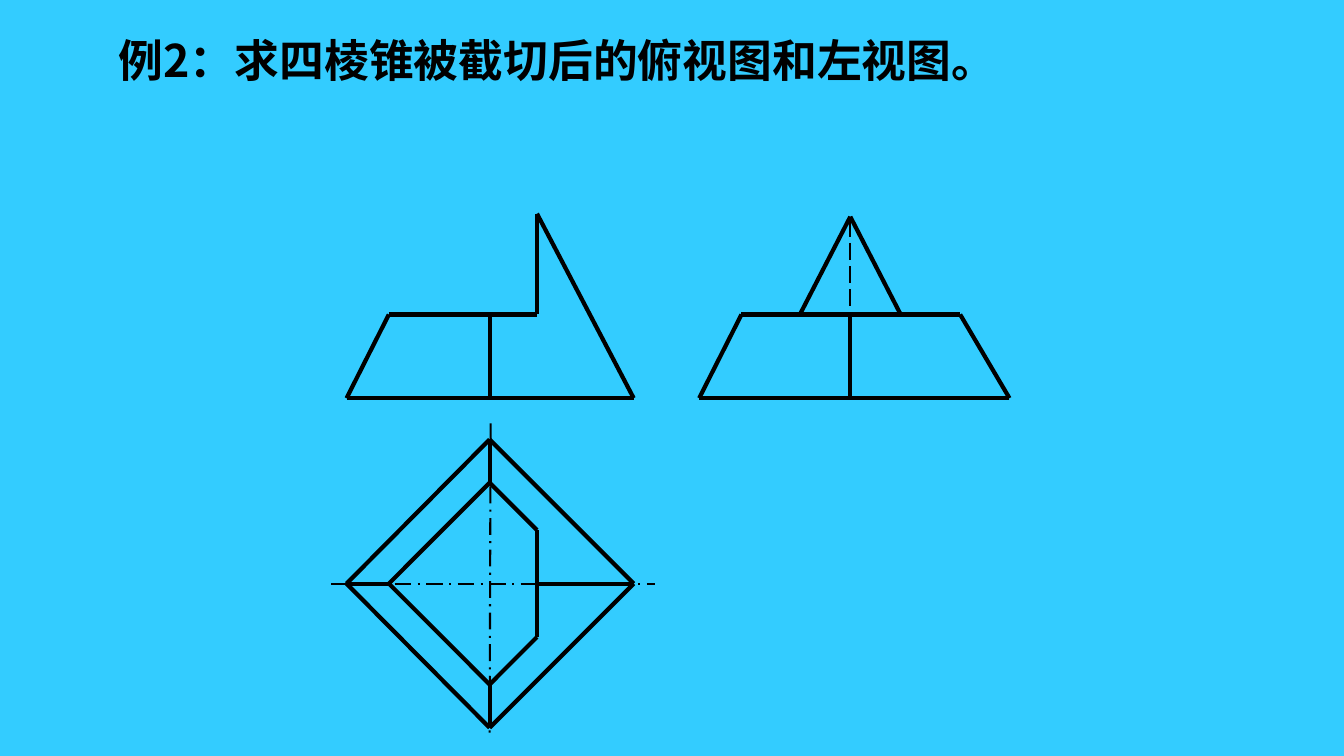
from itertools import pairwise
from lxml.etree import SubElement
from pptx import Presentation
from pptx.dml.color import RGBColor
from pptx.enum.dml import MSO_LINE
from pptx.enum.shapes import MSO_CONNECTOR
from pptx.oxml.ns import qn
from pptx.util import Inches, Pt

COLOURS = {"background": "33CCFF", "ink": "000000"}
FONT = "Noto Sans CJK SC"
TITLE_FORMAT = {"name": FONT, "size": Pt(32), "bold": True}
LINE_STYLES = {
    "edge": {"width": Pt(3)},
    "axis": {"width": Pt(1.5), "dash_style": MSO_LINE.LONG_DASH_DOT},
    "hidden": {"width": Pt(1.5), "dash_style": MSO_LINE.LONG_DASH},
}

# Levels shared by the views
BASE_Y, CUT_Y, APEX_Y = 3.95, 3.12, 2.12
LEFT_X, CUT_LEFT_X, AXIS_X, CUT_X, RIGHT_X = 3.44, 3.86, 4.86, 5.33, 6.29
PLAN_Y = 5.79
SIDE_LEFT_X, SIDE_AXIS_X, SIDE_RIGHT_X = 6.94, 8.44, 10.02
SIDE_APEX_Y = 2.15
OUTER, INNER = 1.43, 1.0  # half diagonals of the plan squares
NOTCH = INNER - (CUT_X - AXIS_X)

# Each entry is a line style and a chain of points
FRONT_VIEW = [
    ("edge", [(LEFT_X, BASE_Y), (CUT_LEFT_X, CUT_Y), (CUT_X, CUT_Y),
              (CUT_X, APEX_Y), (RIGHT_X, BASE_Y), (LEFT_X, BASE_Y)]),
    ("edge", [(AXIS_X, CUT_Y), (AXIS_X, BASE_Y)]),
]
SIDE_VIEW = [
    ("edge", [(SIDE_LEFT_X, BASE_Y), (7.36, CUT_Y), (9.53, CUT_Y),
              (SIDE_RIGHT_X, BASE_Y), (SIDE_LEFT_X, BASE_Y)]),
    ("edge", [(SIDE_AXIS_X - 0.5, CUT_Y), (SIDE_AXIS_X, SIDE_APEX_Y),
              (SIDE_AXIS_X + 0.5, CUT_Y)]),
    ("edge", [(SIDE_AXIS_X, CUT_Y), (SIDE_AXIS_X, BASE_Y)]),
    ("hidden", [(SIDE_AXIS_X, 2.18), (SIDE_AXIS_X, CUT_Y)]),
]
TOP_VIEW = [
    ("axis", [(3.29, PLAN_Y), (6.5, PLAN_Y)]),
    ("axis", [(AXIS_X + 0.01, 4.2), (AXIS_X, 7.32)]),
    # Base outline
    ("edge", [(LEFT_X, PLAN_Y), (AXIS_X, PLAN_Y - OUTER), (RIGHT_X, PLAN_Y),
              (AXIS_X, PLAN_Y + OUTER), (LEFT_X, PLAN_Y)]),
    # Cut face
    ("edge", [(CUT_LEFT_X, PLAN_Y), (AXIS_X, PLAN_Y - INNER),
              (CUT_X, PLAN_Y - NOTCH), (CUT_X, PLAN_Y + NOTCH),
              (AXIS_X, PLAN_Y + INNER), (CUT_LEFT_X, PLAN_Y)]),
    # Remaining slanted edges
    ("edge", [(LEFT_X, PLAN_Y), (CUT_LEFT_X, PLAN_Y)]),
    ("edge", [(CUT_X, PLAN_Y), (RIGHT_X, PLAN_Y)]),
    ("edge", [(AXIS_X, PLAN_Y - OUTER), (AXIS_X, PLAN_Y - INNER)]),
    ("edge", [(AXIS_X, PLAN_Y + INNER), (AXIS_X, PLAN_Y + OUTER)]),
]


def colour(name):
    return RGBColor.from_string(COLOURS[name])


def apply_format(target, values):
    for name, value in values.items():
        setattr(target, name, value)


def add_title(slide, text):
    shape = slide.shapes.add_textbox(Inches(1.08), Inches(0.24), Inches(9.12), Inches(0.64))
    frame = shape.text_frame
    apply_format(frame, {"word_wrap": True, "margin_top": Inches(0.08)})
    paragraph = frame.paragraphs[0]
    paragraph.line_spacing = Pt(38.6)
    run = paragraph.add_run()
    run.text = text
    apply_format(run.font, TITLE_FORMAT)
    run.font.color.rgb = colour("ink")
    # East Asian typeface
    SubElement(run.font._element, qn("a:ea")).set("typeface", FONT)


def add_line(slide, start, end, style):
    points = [Inches(value) for value in (*start, *end)]
    connector = slide.shapes.add_connector(MSO_CONNECTOR.STRAIGHT, *points)
    connector.line.color.rgb = colour("ink")
    apply_format(connector.line, LINE_STYLES[style])
    SubElement(connector._element.spPr, qn("a:effectLst"))


def add_view(slide, chains):
    for style, points in chains:
        for start, end in pairwise(points):
            add_line(slide, start, end, style)


def main():
    presentation = Presentation()
    presentation.slide_width = Inches(13.34)
    presentation.slide_height = Inches(7.5)
    slide = presentation.slides.add_slide(presentation.slide_layouts[6])
    slide.background.fill.solid()
    slide.background.fill.fore_color.rgb = colour("background")

    add_title(slide, "例2：求四棱锥被截切后的俯视图和左视图。")
    for view in (TOP_VIEW, FRONT_VIEW, SIDE_VIEW):
        add_view(slide, view)
    presentation.save("out.pptx")


if __name__ == "__main__":
    main()
